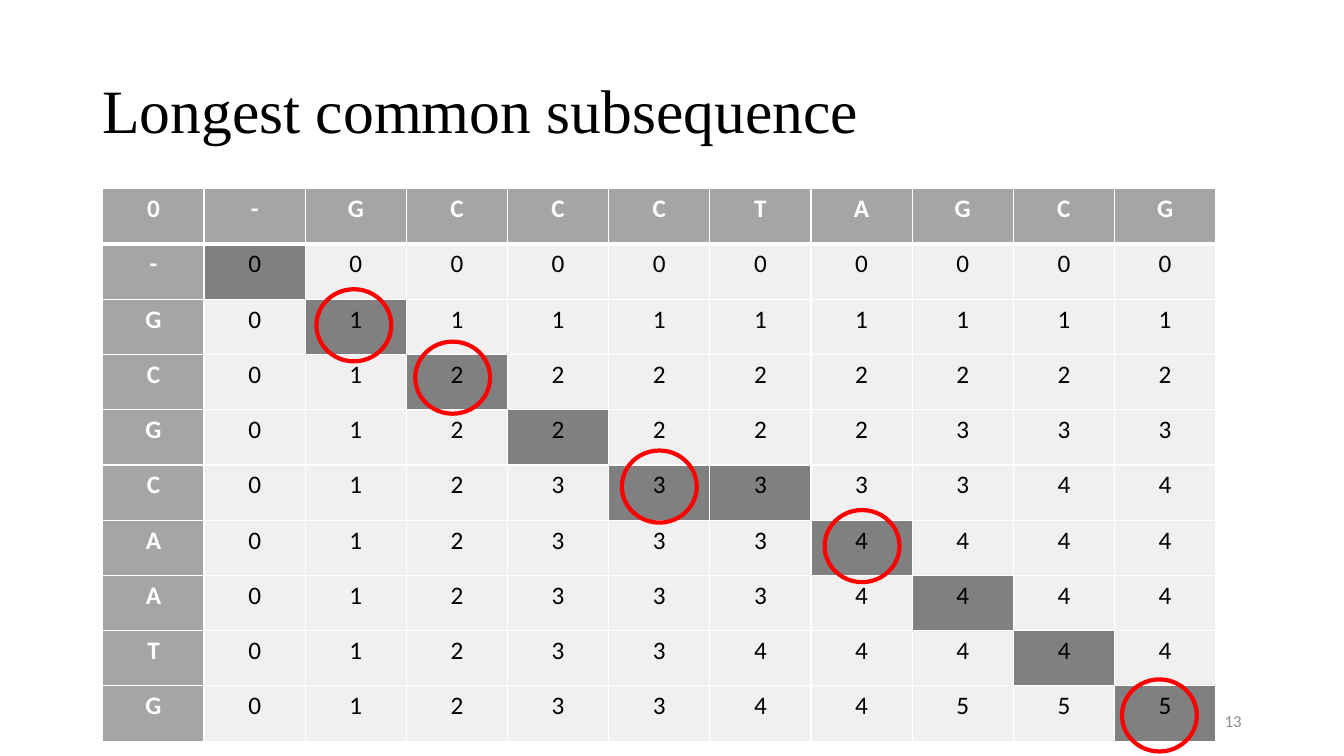
from lxml.etree import SubElement
from pptx import Presentation
from pptx.dml.color import RGBColor
from pptx.enum.shapes import MSO_SHAPE as Shape
from pptx.enum.text import MSO_ANCHOR as Anchor, PP_ALIGN as Align
from pptx.oxml.ns import qn
from pptx.util import Pt

TITLE = "Longest common subsequence"
PAGE_NUMBER = "13"
LCS_ROWS = [
    "0-GCCCTAGCG",
    "-0000000000",
    "G0111111111",
    "C0122222222",
    "G0122222333",
    "C0123333344",
    "A0123334444",
    "A0123334444",
    "T0123344444",
    "G0123344555",
]
# Row and column of each cell on the traceback path
TRACEBACK = {(1, 1), (2, 2), (3, 3), (4, 4), (5, 5), (5, 6),
             (6, 7), (7, 8), (8, 9), (9, 10)}
# Left and top of the ring around each matched letter
MATCH_RINGS = [(226, 206.6), (296.6, 244), (444.2, 321.8), (589, 364.3), (801.4, 485.3)]

THEME = {
    "header": "A5A5A5", "cell": "F0F0F0", "path": "808080",
    "border": "FFFFFF", "ring": "FF0000",
    "title": {"name": "Times New Roman", "size": 44, "color": "000000"},
    "number": {"name": "Calibri", "size": 12, "color": "8C8C8C"},
    "label": {"name": "Calibri", "size": 18, "color": "FFFFFF", "bold": True},
    "score": {"name": "Calibri", "size": 18, "color": "000000", "bold": False},
}
SLIDE_SIZE = (960, 540)
TITLE_BOX = (66, 28.8, 828, 104.4)
NUMBER_BOX = (678, 500.4, 216, 28.8)
TABLE_LEFT, TABLE_TOP = 73.5, 134.8
COLUMN_WIDTH, ROW_HEIGHT = 72.26, 39.46
RING_SIZE = (53.5, 51.5)
RING_WIDTH = 3
THIN, THICK = 1, 3


def points(values):
    return [Pt(value) for value in values]


def write(frame, text, style, align=Align.LEFT, spacing=None):
    para = frame.paragraphs[0]
    para.alignment = align
    para.line_spacing = spacing
    span = para.add_run()
    span.text = text
    for name, value in style.items():
        if name == "color":
            span.font.color.rgb = RGBColor.from_string(value)
        else:
            setattr(span.font, name, Pt(value) if name == "size" else value)


def add_text(page, bounds, *content):
    frame = page.shapes.add_textbox(*points(bounds)).text_frame
    frame.word_wrap = True
    frame.vertical_anchor = Anchor.MIDDLE
    write(frame, *content)


def set_borders(cell, widths):
    properties = cell._tc.get_or_add_tcPr()
    for side, width in widths.items():
        line = SubElement(properties, qn(f"a:ln{side}"), w=str(Pt(width)))
        fill = SubElement(line, qn("a:solidFill"))
        SubElement(fill, qn("a:srgbClr"), val=THEME["border"])


def add_lcs_table(page):
    row_count, column_count = len(LCS_ROWS), len(LCS_ROWS[0])
    bounds = (TABLE_LEFT, TABLE_TOP, COLUMN_WIDTH * column_count, ROW_HEIGHT * row_count)
    table = page.shapes.add_table(row_count, column_count, *points(bounds)).table
    for column in table.columns:
        column.width = Pt(COLUMN_WIDTH)
    for row, letters in enumerate(LCS_ROWS):
        table.rows[row].height = Pt(ROW_HEIGHT)
        for column, letter in enumerate(letters):
            cell = table.cell(row, column)
            is_label = row == 0 or column == 0
            set_borders(cell, {"L": THIN, "R": THIN,
                               "T": THICK if row == 1 else THIN,
                               "B": THICK if row == 0 else THIN})
            kind = "header" if is_label else "path" if (row, column) in TRACEBACK else "cell"
            cell.fill.solid()
            cell.fill.fore_color.rgb = RGBColor.from_string(THEME[kind])
            write(cell.text_frame, letter, THEME["label" if is_label else "score"],
                  Align.CENTER)


def add_ring(page, corner):
    ring = page.shapes.add_shape(Shape.OVAL, *points(corner + RING_SIZE))
    ring.shadow.inherit = False
    ring.fill.background()
    ring.line.color.rgb = RGBColor.from_string(THEME["ring"])
    ring.line.width = Pt(RING_WIDTH)


def main():
    deck = Presentation()
    deck.slide_width, deck.slide_height = points(SLIDE_SIZE)
    page = deck.slides.add_slide(deck.slide_layouts[6])
    add_text(page, TITLE_BOX, TITLE, THEME["title"], Align.LEFT, 0.9)
    add_text(page, NUMBER_BOX, PAGE_NUMBER, THEME["number"], Align.RIGHT)
    add_lcs_table(page)
    for corner in MATCH_RINGS:
        add_ring(page, corner)
    deck.save("out.pptx")


if __name__ == "__main__":
    main()
